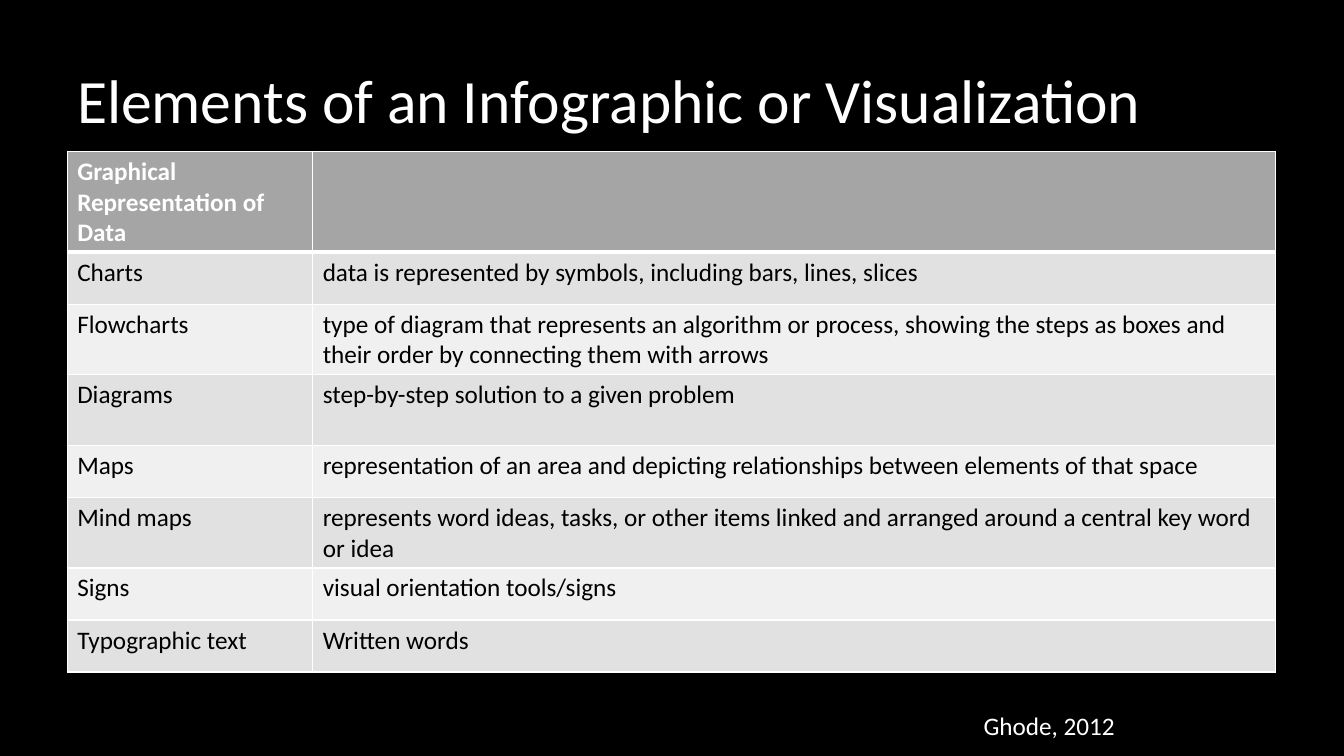
from lxml.etree import SubElement as Sub
from pptx import Presentation
from pptx.dml.color import RGBColor as Rgb
from pptx.enum.text import MSO_ANCHOR as Anchor
from pptx.oxml.ns import qn
from pptx.util import Pt

FONT = "Calibri"
COLORS = {
    "back": "000000", "light": "FFFFFF", "dark": "000000",
    "head": "A5A5A5", "odd": "E1E1E1", "even": "F0F0F0",
}
SHORT, TALL, TOP = 37.2, 50.4, 72
# Row height, term, meaning
ROWS = [
    (TOP, "Graphical Representation of Data", ""),
    (SHORT, "Charts",
     "data is represented by symbols, including bars, lines, slices"),
    (TALL, "Flowcharts",
     "type of diagram that represents an algorithm or process, showing "
     "the steps as boxes and their order by connecting them with arrows"),
    (TALL, "Diagrams", "step-by-step solution to a given problem"),
    (SHORT, "Maps",
     "representation of an area and depicting relationships between "
     "elements of that space"),
    (TALL, "Mind maps",
     "represents word ideas, tasks, or other items linked and arranged "
     "around a central key word or idea"),
    (SHORT, "Signs", "visual orientation tools/signs"),
    (SHORT, "Typographic text", "Written words"),
]


def color(name):
    return Rgb.from_string(COLORS[name])


def add_run(para, text, size, tint, bold=False):
    run = para.add_run()
    run.text = text
    font = run.font
    font.name, font.size, font.bold = FONT, Pt(size), bold
    font.color.rgb = color(tint)


def add_text(slide, box, text, size, anchor=Anchor.TOP, space=1.0):
    frame = slide.shapes.add_textbox(*map(Pt, box)).text_frame
    frame.word_wrap = True
    frame.vertical_anchor = anchor
    para = frame.paragraphs[0]
    para.line_spacing = space
    add_run(para, text, size, "light")


def add_edge(cell, side, width):
    props = cell._tc.get_or_add_tcPr()
    line = Sub(props, qn(f"a:ln{side}"), w=str(Pt(width)))
    fill = Sub(line, qn("a:solidFill"))
    Sub(fill, qn("a:srgbClr"), val=COLORS["light"])


def fill_cell(cell, text, row):
    # Borders go before the fill; a thick rule parts the header from the body
    for side in "LRTB":
        thick = (row, side) in ((0, "B"), (1, "T"))
        add_edge(cell, side, 3 if thick else 1)
    shade = "head" if row == 0 else "odd" if row % 2 else "even"
    cell.fill.solid()
    cell.fill.fore_color.rgb = color(shade)
    para = cell.text_frame.paragraphs[0]
    para.font.size = Pt(18)
    if text:
        add_run(para, text, 18, "dark" if row else "light", row == 0)


def add_grid(slide, box, first):
    left, top, width, height = box
    table = slide.shapes.add_table(len(ROWS), 2, *map(Pt, box)).table
    table.first_row = table.horz_banding = False
    table.columns[0].width = Pt(first)
    table.columns[1].width = Pt(width - first)
    for row, (tall, *texts) in enumerate(ROWS):
        table.rows[row].height = Pt(tall)
        for col, text in enumerate(texts):
            fill_cell(table.cell(row, col), text, row)


def main():
    deck = Presentation()
    deck.slide_width, deck.slide_height = Pt(960), Pt(540)
    slide = deck.slides.add_slide(deck.slide_layouts[6])
    slide.background.fill.solid()
    slide.background.fill.fore_color.rgb = color("back")

    # Title, source credit and table
    add_text(slide, (48, 21.6, 828, 104.4),
             "Elements of an Infographic or Visualization", 44,
             Anchor.MIDDLE, 0.9)
    add_text(slide, (695.5, 504, 260, 29), "Ghode, 2012", 18)
    add_grid(slide, (48, 108, 863.4, sum(row[0] for row in ROWS)), 175.4)
    deck.save("out.pptx")


if __name__ == "__main__":
    main()
